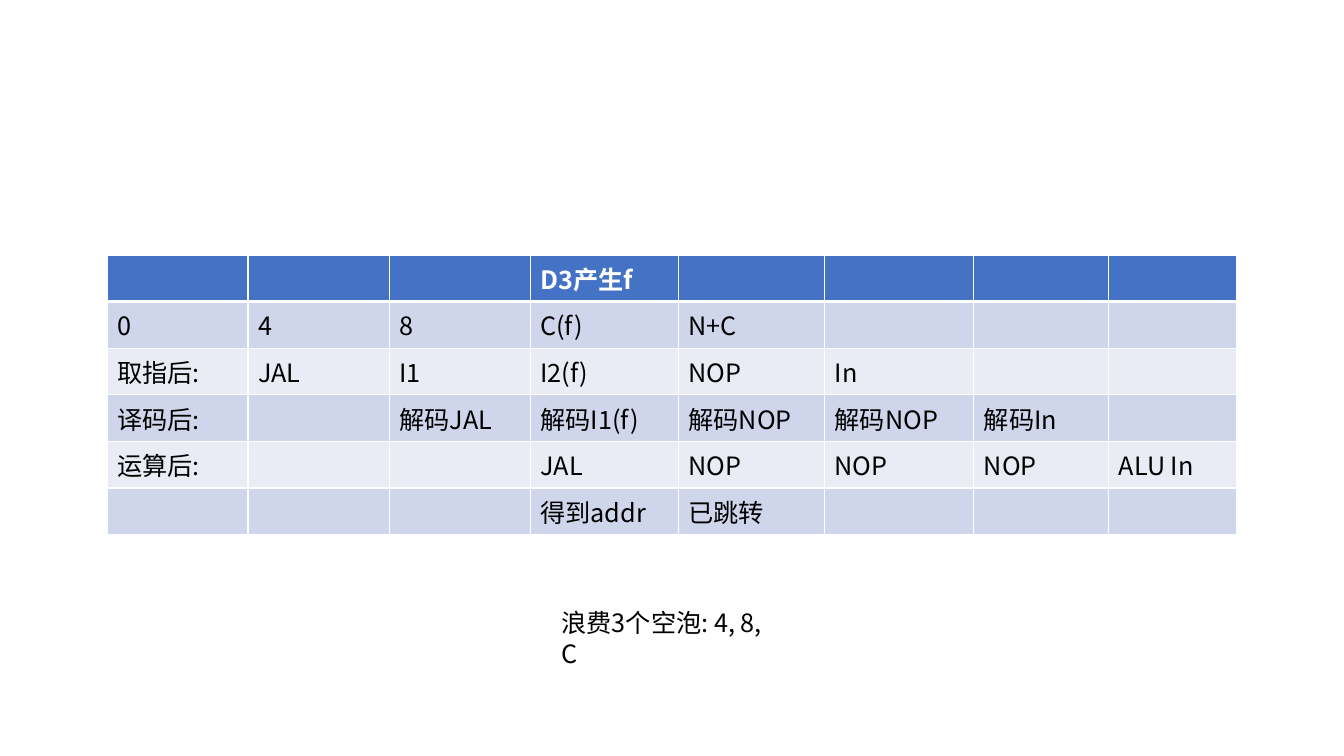
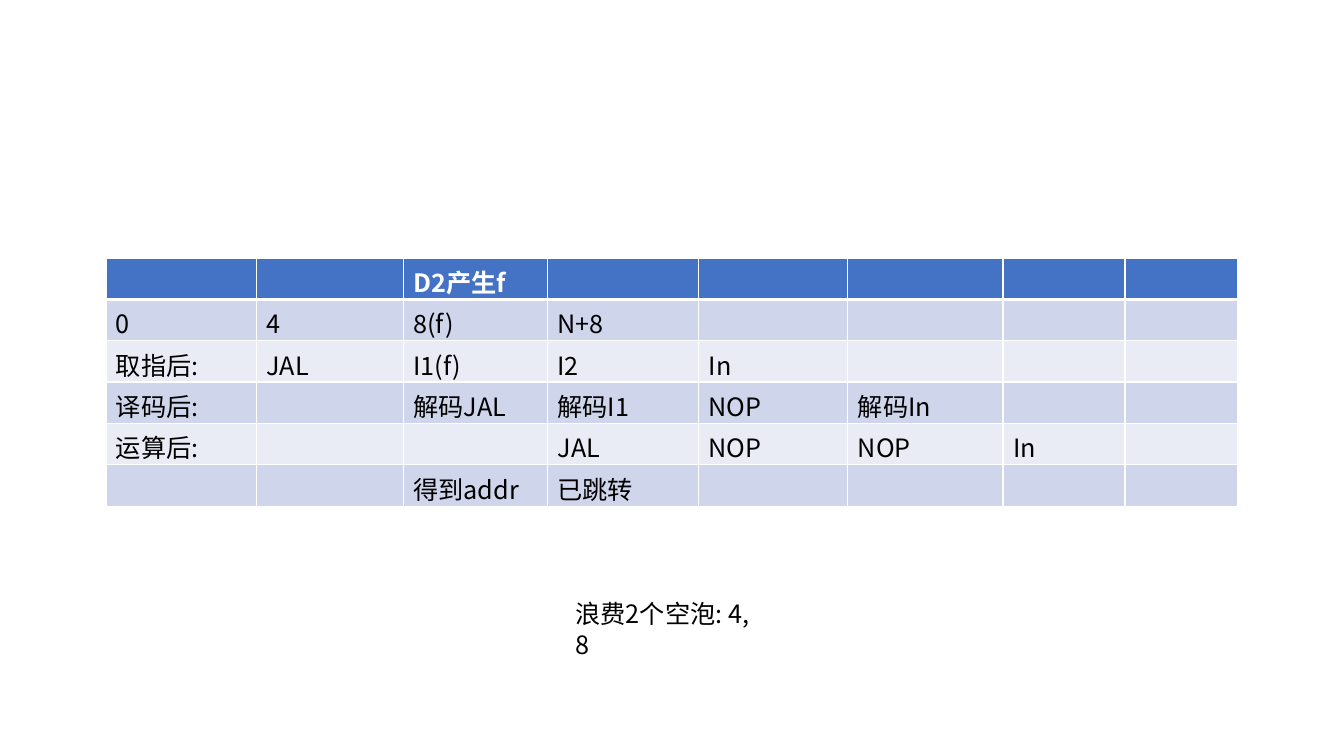
import pptx
import pptx.util
import pptx.dml.color
import pptx.enum.text
import pptx.oxml.ns
import lxml.etree

COLORS = {
    "header": "4472C4",
    "odd_row": "CFD5EA",
    "even_row": "E9EBF5",
    "rule": "FFFFFF",
    "header_text": "FFFFFF",
    "text": "000000",
}
FONT = "Noto Sans CJK SC"
ROW_HEIGHT = 5.47
NOTE_HEIGHT = 5.33

PIPELINES = [
    {
        "columns": [10.5, 10.5, 10.5, 11.02, 10.88, 11.1, 10.05, 9.53],
        "top": 33.73,
        "stages": [
            ["", "", "", "D3产生f", "", "", "", ""],
            ["0", "4", "8", "C(f)", "N+C", "", "", ""],
            ["取指后:", "JAL", "I1", "I2(f)", "NOP", "In", "", ""],
            ["译码后:", "", "解码JAL", "解码I1(f)", "解码NOP", "解码NOP", "解码In", ""],
            ["运算后:", "", "", "JAL", "NOP", "NOP", "NOP", "ALU In"],
            ["", "", "", "得到addr", "已跳转", "", "", ""],
        ],
        "note": "浪费3个空泡: 4, 8, C",
        "note_top": 79.73,
        "note_width": 17.93,
    },
    {
        "columns": [11.18, 10.95, 10.73, 11.25, 11.1, 11.55, 9.08, 8.4],
        "top": 34.13,
        "stages": [
            ["", "", "D2产生f", "", "", "", "", ""],
            ["0", "4", "8(f)", "N+8", "", "", "", ""],
            ["取指后:", "JAL", "I1(f)", "I2", "In", "", "", ""],
            ["译码后:", "", "解码JAL", "解码I1", "NOP", "解码In", "", ""],
            ["运算后:", "", "", "JAL", "NOP", "NOP", "In", ""],
            ["", "", "得到addr", "已跳转", "", "", "", ""],
        ],
        "note": "浪费2个空泡: 4, 8",
        "note_top": 78.53,
        "note_width": 15.83,
    },
]


def write(frame, words, color, bold=False):
    run = frame.paragraphs[0].add_run()
    run.text = words
    run.font.size = pptx.util.Pt(18)
    run.font.name = FONT
    run.font.bold = bold
    run.font.color.rgb = pptx.dml.color.RGBColor.from_string(COLORS[color])
    east_asian = lxml.etree.SubElement(run.font._element, pptx.oxml.ns.qn("a:ea"))
    east_asian.set("typeface", FONT)


def add_rules(cell, row):
    widths = {"lnL": 1, "lnR": 1, "lnT": 3 if row == 1 else 1, "lnB": 3 if row == 0 else 1}
    properties = cell._tc.get_or_add_tcPr()
    for side, points in widths.items():
        rule = lxml.etree.SubElement(properties, pptx.oxml.ns.qn(f"a:{side}"))
        rule.set("w", str(pptx.util.Pt(points)))
        fill = lxml.etree.SubElement(rule, pptx.oxml.ns.qn("a:solidFill"))
        color = lxml.etree.SubElement(fill, pptx.oxml.ns.qn("a:srgbClr"))
        color.set("val", COLORS["rule"])


deck = pptx.Presentation()
deck.slide_width = pptx.util.Inches(13.33)
deck.slide_height = pptx.util.Inches(7.5)
across = deck.slide_width / 100
down = deck.slide_height / 100

for pipeline in PIPELINES:
    slide = deck.slides.add_slide(deck.slide_layouts[6])
    columns, stages = pipeline["columns"], pipeline["stages"]
    width = sum(columns)
    timing = slide.shapes.add_table(
        len(stages), len(columns),
        int((100 - width) / 2 * across), int(pipeline["top"] * down),
        int(width * across), int(len(stages) * ROW_HEIGHT * down),
    ).table
    for column, share in zip(timing.columns, columns):
        column.width = int(share * across)

    for row, stage in enumerate(stages):
        timing.rows[row].height = int(ROW_HEIGHT * down)
        band = "header" if row == 0 else "odd_row" if row % 2 else "even_row"
        for cycle, words in enumerate(stage):
            cell = timing.cell(row, cycle)
            add_rules(cell, row)
            cell.fill.solid()
            cell.fill.fore_color.rgb = pptx.dml.color.RGBColor.from_string(COLORS[band])
            if words:
                write(cell.text_frame, words, "header_text" if row == 0 else "text", row == 0)

    note = slide.shapes.add_textbox(
        int((100 - pipeline["note_width"]) / 2 * across), int(pipeline["note_top"] * down),
        int(pipeline["note_width"] * across), int(NOTE_HEIGHT * down),
    ).text_frame
    note.word_wrap = True
    note.auto_size = pptx.enum.text.MSO_AUTO_SIZE.SHAPE_TO_FIT_TEXT
    write(note, pipeline["note"], "text")

deck.save("out.pptx")
